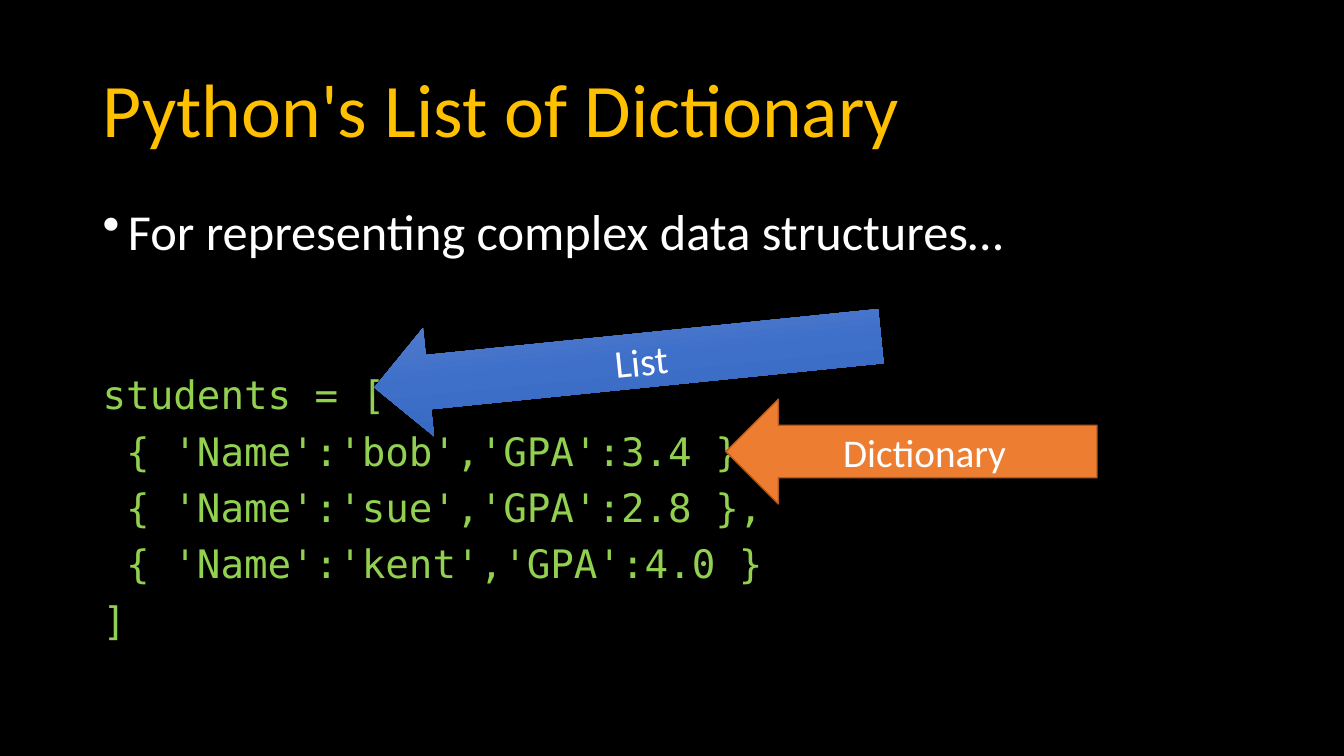
from copy import deepcopy

from lxml import etree
from pptx import Presentation
from pptx.dml import color
from pptx.enum import shapes, text
from pptx.oxml import ns
from pptx import util as u

BODY_FONT = "Calibri"
CODE_FONT = "DejaVu Sans Mono"
LEFT = 0.92
CODE_LINES = [
    "students = [ ",
    " { 'Name':'bob','GPA':3.4 },",
    " { 'Name':'sue','GPA':2.8 },",
    " { 'Name':'kent','GPA':4.0 }",
    "]",
]


def rgb(value):
    """Turn a hex string into a colour."""
    return color.RGBColor.from_string(value)


def box(at):
    """Turn left, top, width and height in inches into lengths."""
    return [u.Inches(value) for value in at]


def write(shape, lines, size, ink="FFFFFF", font=BODY_FONT, align=None,
          anchor=text.MSO_ANCHOR.TOP, spacing=None, before=0):
    """Fill a shape with one formatted paragraph per line."""
    frame = shape.text_frame
    frame.word_wrap = True
    frame.vertical_anchor = anchor
    for index, line in enumerate(lines):
        paragraph = frame.add_paragraph() if index else frame.paragraphs[0]
        paragraph.alignment = align
        paragraph.line_spacing = spacing
        paragraph.space_before = u.Pt(before)
        run = paragraph.add_run()
        run.text = line
        run.font.size = u.Pt(size)
        run.font.name = font
        run.font.color.rgb = rgb(ink)


def add_text(slide, at, lines, size, **style):
    """Add a text box and return it."""
    shape = slide.shapes.add_textbox(*box(at))
    write(shape, lines, size, spacing=0.9, **style)
    return shape


def add_bullet(paragraph, indent=0.25):
    """Give a paragraph a round bullet with a hanging indent."""
    properties = paragraph._p.get_or_add_pPr()
    properties.set("marL", str(u.Inches(indent)))
    properties.set("indent", str(-u.Inches(indent)))
    etree.SubElement(properties, ns.qn("a:buChar"), char="\u2022")


def add_arrow(slide, at, label, rotation=0):
    """Add a labelled arrow that points left."""
    arrow = slide.shapes.add_shape(shapes.MSO_SHAPE.LEFT_ARROW, *box(at))
    arrow.rotation = rotation
    arrow.shadow.inherit = False
    write(arrow, [label], 28, align=text.PP_ALIGN.CENTER,
          anchor=text.MSO_ANCHOR.MIDDLE)
    return arrow


def fill_gradient(shape, colours):
    """Fill a shape from top to bottom with evenly spaced colours."""
    shape.fill.gradient()
    shape.fill.gradient_angle = 270
    stop_list = shape._element.spPr.find(".//" + ns.qn("a:gsLst"))
    while len(stop_list) < len(colours):
        stop_list.append(deepcopy(stop_list[0]))
    for index, stop in enumerate(shape.fill.gradient_stops):
        stop.position = index / (len(colours) - 1)
        stop.color.rgb = rgb(colours[index])


def add_shadow(shape, blur, distance, opacity):
    """Drop a soft black shadow straight below a shape."""
    effects = shape._element.spPr.find(ns.qn("a:effectLst"))
    shadow = etree.SubElement(
        effects, ns.qn("a:outerShdw"), blurRad=str(u.Pt(blur)),
        dist=str(u.Pt(distance)), dir="5400000", algn="ctr", rotWithShape="0")
    ink = etree.SubElement(shadow, ns.qn("a:srgbClr"), val="000000")
    etree.SubElement(ink, ns.qn("a:alpha"), val=str(opacity * 1000))


def main():
    """Build the slide and save it."""
    presentation = Presentation()
    presentation.slide_width = u.Inches(13.33)
    presentation.slide_height = u.Inches(7.5)
    slide = presentation.slides.add_slide(presentation.slide_layouts[6])
    slide.background.fill.solid()
    slide.background.fill.fore_color.rgb = rgb("000000")

    add_text(slide, (LEFT, 0.4, 11.5, 1.45), ["Python's List of Dictionary"],
             54, ink="FFC000", anchor=text.MSO_ANCHOR.MIDDLE)
    purpose = add_text(slide, (LEFT, 2, 11.07, 0.93),
                       ["For representing complex data structures\u2026"],
                       36, before=10)
    add_bullet(purpose.text_frame.paragraphs[0])
    add_text(slide, (LEFT, 3.68, 11.81, 3.08), CODE_LINES, 28,
             ink="92D050", font=CODE_FONT, before=10)

    list_arrow = add_arrow(slide, (3.7, 3.05, 5.05, 1.08), "List", 354.2)
    fill_gradient(list_arrow, ["6183CB", "3E70CA", "3062BB"])
    list_arrow.line.fill.background()
    add_shadow(list_arrow, blur=4.5, distance=1.5, opacity=63)

    dictionary_arrow = add_arrow(slide, (7.2, 3.96, 3.68, 1.04), "Dictionary")
    dictionary_arrow.fill.solid()
    dictionary_arrow.fill.fore_color.rgb = rgb("ED7D31")
    dictionary_arrow.line.color.rgb = rgb("AF5C24")
    dictionary_arrow.line.width = u.Pt(1)

    presentation.save("out.pptx")


main()
